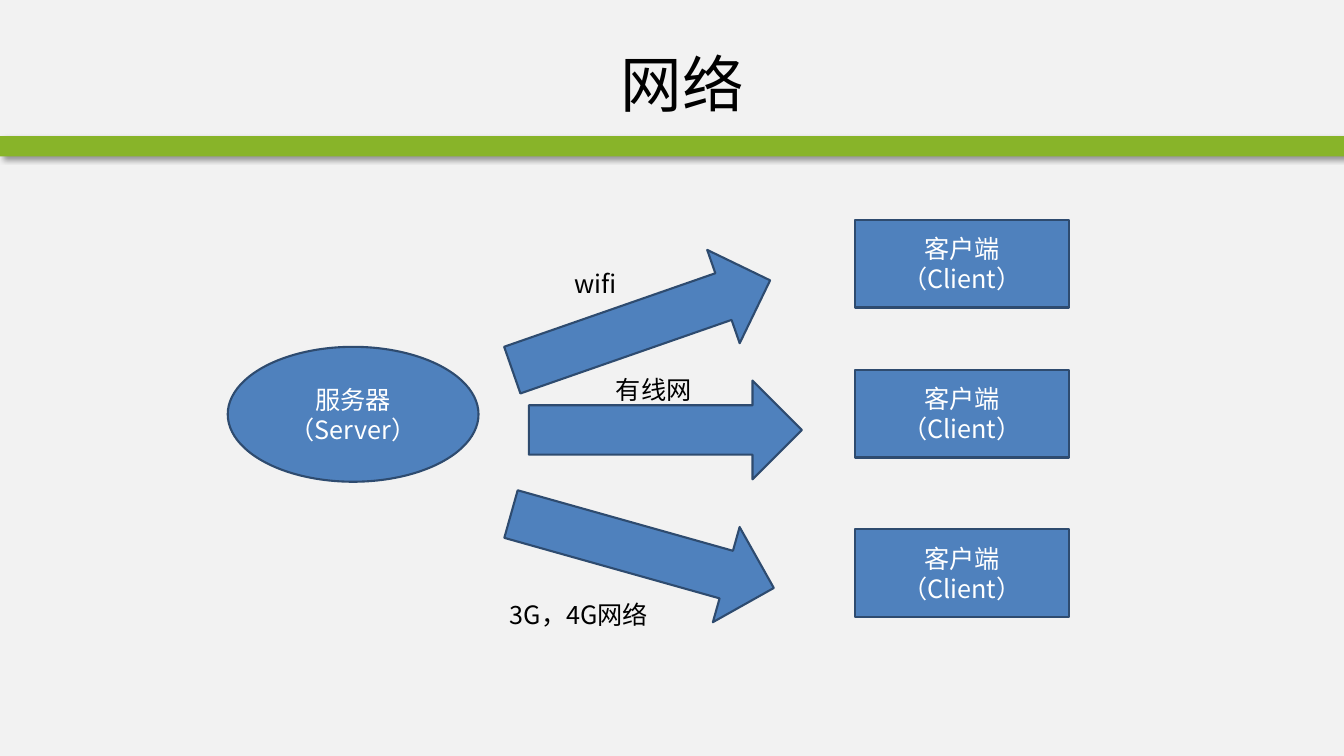
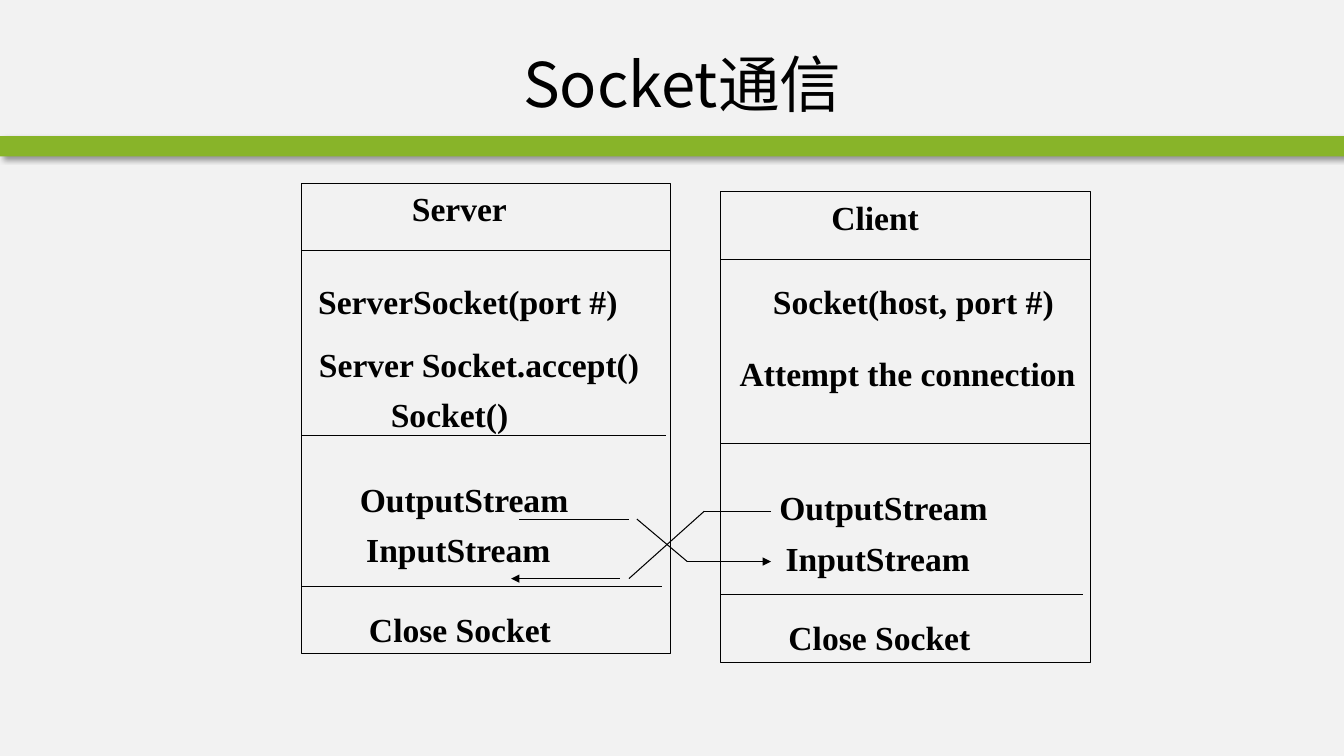
from dataclasses import dataclass
from itertools import pairwise

from lxml import etree
from pptx import Presentation
from pptx.dml.color import RGBColor
from pptx.enum import shapes as sh, text as tx
from pptx.oxml import ns
from pptx.util import Cm, Pt


@dataclass(frozen=True)
class Theme:
    """Colours, fonts and type sizes."""
    back: str = "F2F2F2"
    band: str = "88B429"
    fill: str = "4F81BD"
    edge: str = "2E4B6F"
    ink: str = "000000"
    pale: str = "FFFFFF"
    sans: str = "Noto Sans CJK SC"
    serif: str = "Times New Roman"
    head: int = 44
    code: int = 24
    body: int = 18
    thick: float = 1.5
    thin: float = 0.75


def rgb(code):
    return RGBColor.from_string(code)


def child(node, tag, **attrs):
    return etree.SubElement(node, ns.qn(tag), attrs)


class Deck:
    WIDE, HIGH = 33.87, 19.05

    def __init__(self, theme):
        self.look = theme
        self.prs = Presentation()
        self.prs.slide_width = Cm(self.WIDE)
        self.prs.slide_height = Cm(self.HIGH)
        fill = self.prs.slide_master.background.fill
        fill.solid()
        fill.fore_color.rgb = rgb(theme.back)
        self.slide = None

    def page(self, title):
        """Start a slide with its green band and title."""
        self.slide = self.prs.slides.add_slide(self.prs.slide_layouts[6])
        band = self.shape("RECTANGLE", 0, 3.43, self.WIDE, 0.51,
                          fill=self.look.band)
        self.shade(band)
        box = self.label(title, 3.53, 0.76, 27.33, 2.67, size=self.look.head,
                         mid=True)
        box.text_frame.auto_size = tx.MSO_AUTO_SIZE.NONE

    def shade(self, shape):
        """Drop a soft shadow to the lower right."""
        root = shape.element.spPr.find(ns.qn("a:effectLst"))
        drop = child(root, "a:outerShdw", blurRad=str(Pt(4)), dist=str(Pt(3)),
                     dir=str(45 * 60000), algn="tl", rotWithShape="0")
        tint = child(drop, "a:srgbClr", val=self.look.ink)
        child(tint, "a:alpha", val="40000")

    def shape(self, kind, x, y, w, h, fill=None, edge=None, thick=0.75,
              turn=0, words=None):
        item = self.slide.shapes.add_shape(
            getattr(sh.MSO_SHAPE, kind), Cm(x), Cm(y), Cm(w), Cm(h))
        item.shadow.inherit = False
        item.rotation = turn
        if fill:
            item.fill.solid()
            item.fill.fore_color.rgb = rgb(fill)
        else:
            item.fill.background()
        if edge:
            item.line.color.rgb = rgb(edge)
            item.line.width = Pt(thick)
        else:
            item.line.fill.background()
        if words:
            self.put(item.text_frame, words, color=self.look.pale, mid=True)
        return item

    def block(self, kind, x, y, w, h, **more):
        """Blue shape with a dark edge."""
        return self.shape(kind, x, y, w, h, fill=self.look.fill,
                          edge=self.look.edge, thick=self.look.thick, **more)

    def label(self, words, x, y, w, h, wrap=True, **style):
        box = self.slide.shapes.add_textbox(Cm(x), Cm(y), Cm(w), Cm(h))
        frame = box.text_frame
        frame.word_wrap = wrap
        frame.auto_size = tx.MSO_AUTO_SIZE.SHAPE_TO_FIT_TEXT
        self.put(frame, words, **style)
        return box

    def code(self, words, x, y, w):
        """Bold serif line that never wraps."""
        self.label(words, x, y, w, 1.27, wrap=False, size=self.look.code,
                   face=self.look.serif, bold=True)

    def put(self, frame, words, size=None, face=None, color=None,
            bold=False, mid=False):
        para = frame.paragraphs[0]
        if mid:
            para.alignment = tx.PP_ALIGN.CENTER
            frame.vertical_anchor = tx.MSO_ANCHOR.MIDDLE
        run = para.add_run()
        run.text = words
        font = run.font
        font.size = Pt(size or self.look.body)
        font.name = face or self.look.sans
        font.bold = bold
        font.color.rgb = rgb(color or self.look.ink)
        child(run._r.get_or_add_rPr(), "a:ea", typeface=font.name)

    def trail(self, *points, arrow=False):
        """Straight lines from point to point, with an optional last arrow."""
        for (x1, y1), (x2, y2) in pairwise(points):
            line = self.slide.shapes.add_connector(
                sh.MSO_CONNECTOR.STRAIGHT, Cm(x1), Cm(y1), Cm(x2), Cm(y2))
            line.line.color.rgb = rgb(self.look.ink)
            line.line.width = Pt(self.look.thin)
            root = line.element.spPr
            if arrow and (x2, y2) == points[-1]:
                child(root.find(ns.qn("a:ln")), "a:tailEnd", type="triangle")
            child(root, "a:effectLst")

    def panel(self, x, y, rules, lines):
        """Framed list of calls; rules and lines are relative to its corner."""
        self.shape("RECTANGLE", x, y, 9.32, 11.86, edge=self.look.ink,
                   thick=self.look.thin)
        for dy, wide in zip((1.7, 6.35, 10.16), rules):
            self.trail((x, y + dy), (x + wide, y + dy))
        for words, dx, dy, wide in lines:
            self.code(words, x + dx, y + dy, wide)


def network(deck):
    deck.page("网络")

    # Server and clients
    deck.block("OVAL", 5.74, 8.74, 6.32, 3.4, words="服务器（Server）")
    for y in (5.54, 9.32, 13.34):
        deck.block("RECTANGLE", 21.54, y, 5.41, 2.21, words="客户端（Client）")

    # Links between them
    for x, y, turn in ((12.72, 6.95, -19.2), (12.75, 12.64, 15.7),
                       (13.33, 9.59, 0)):
        deck.block("RIGHT_ARROW", x, y, 6.88, 2.49, turn=turn)
    for words, x, y, w in (("wifi", 14.22, 6.63, 1.96),
                           ("有线网", 15.27, 9.32, 2.87),
                           ("3G，4G网络", 12.6, 14.99, 4.19)):
        deck.label(words, x, y, w, 1.02)


def socket(deck):
    deck.page("Socket通信")

    # Two panels that end with the same calls
    tail = [("OutputStream", 1.23, 7.32, 5.79),
            ("InputStream", 1.39, 8.59, 5.18),
            ("Close Socket", 1.46, 10.59, 5.11)]
    deck.panel(7.59, 4.62, (9.3, 9.19, 9.09), [
        ("Server", 2.54, 0, 2.9),
        ("ServerSocket(port #)", 0.18, 2.34, 8.05),
        ("Server Socket.accept()", 0.2, 3.91, 8.59),
        ("Socket()", 2.01, 5.18, 3.48)] + tail)
    deck.panel(18.16, 4.83, (9.32, 9.32, 9.12), [
        ("Client", 2.54, 0, 2.72),
        ("Socket(host, port #)", 1.07, 2.13, 7.59),
        ("Attempt the connection", 0.23, 3.94, 8.97)] + tail)

    # Server output to client input
    deck.trail((13.08, 13.08), (15.85, 13.08))
    deck.trail((16.05, 13.08), (17.32, 14.15), (19.43, 14.15), arrow=True)

    # Client output to server input
    deck.trail((19.43, 12.88), (17.75, 12.88), (15.85, 14.58))
    deck.trail((15.62, 14.58), (12.88, 14.58), arrow=True)


def main():
    deck = Deck(Theme())
    network(deck)
    socket(deck)
    deck.prs.save("out.pptx")


if __name__ == "__main__":
    main()
